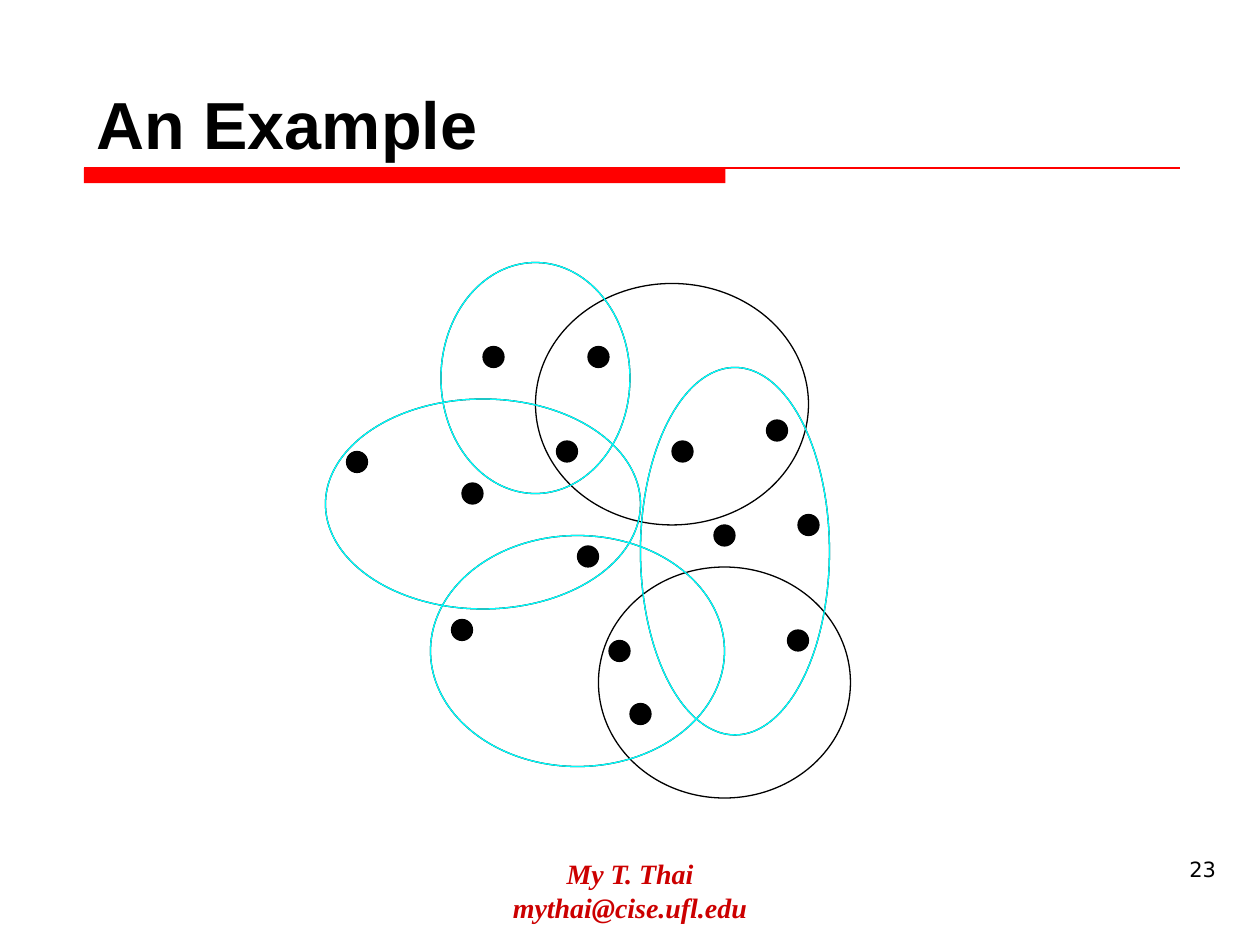
from typing import NamedTuple

import pptx
import pptx.dml.color
import pptx.enum.shapes
import pptx.enum.text
import pptx.oxml.ns
import pptx.util
from lxml import etree

BLACK = pptx.dml.color.RGBColor(0x00, 0x00, 0x00)
RED = pptx.dml.color.RGBColor(0xFF, 0x00, 0x00)
DARK_RED = pptx.dml.color.RGBColor(0xCC, 0x00, 0x00)
CYAN = pptx.dml.color.RGBColor(0x00, 0xFF, 0xFF)

ALIGN = pptx.enum.text.PP_ALIGN
OVAL = pptx.enum.shapes.MSO_SHAPE.OVAL
CELLS_PER_INCH = 12
DOT_SIZE = 2


class Area(NamedTuple):
    column: float
    row: float
    columns: float
    rows: float


class Style(NamedTuple):
    font: str
    size: float
    color: pptx.dml.color.RGBColor
    align: ALIGN
    bold: bool = False
    italic: bool = False


ELEMENTS = [
    (46, 33), (56, 33), (44, 46), (64, 42), (55, 52), (33, 43), (43, 59),
    (60, 67), (76, 49), (53, 42), (73, 40), (68, 50), (58, 61), (75, 60),
]
SUBSETS = {
    "top": Area(42, 25, 18, 22),
    "upper right": Area(51, 27, 26, 23),
    "left": Area(31, 38, 30, 20),
    "right": Area(61, 35, 18, 35),
    "lower right": Area(57, 54, 24, 22),
    "bottom": Area(41, 51, 28, 22),
}
COVER = ["right", "bottom", "left", "top"]

TITLE_AREA = Area(8, 4.08, 105, 12)
RULE_BAR = Area(8, 16, 61.1, 1.44)
RULE_END = 112.4
AUTHOR_AREA = Area(41, 81, 38, 6.25)
NUMBER_AREA = Area(91, 81, 26, 6.25)

TITLE_STYLE = Style("Arial", 38, BLACK, ALIGN.LEFT, bold=True)
AUTHOR_STYLE = Style("Times New Roman", 16, DARK_RED, ALIGN.CENTER, True, True)
NUMBER_STYLE = Style("DejaVu Sans", 12, BLACK, ALIGN.RIGHT)


def cells(count: float) -> pptx.util.Emu:
    return pptx.util.Inches(count / CELLS_PER_INCH)


def write(frame, lines: list[str], style: Style) -> None:
    frame.word_wrap = True
    frame.auto_size = pptx.enum.text.MSO_AUTO_SIZE.NONE
    frame.text = "\n".join(lines)
    for paragraph in frame.paragraphs:
        paragraph.alignment = style.align
        paragraph.font.name = style.font
        paragraph.font.size = pptx.util.Pt(style.size)
        paragraph.font.bold = style.bold
        paragraph.font.italic = style.italic
        paragraph.font.color.rgb = style.color


def add_label(slide, area: Area, lines: list[str], style: Style) -> None:
    label = slide.shapes.add_textbox(*map(cells, area))
    write(label.text_frame, lines, style)


def add_figure(slide, kind, area: Area, fill=None, line=None) -> None:
    figure = slide.shapes.add_shape(kind, *map(cells, area))
    figure.shadow.inherit = False
    if fill is None:
        figure.fill.background()
    else:
        figure.fill.solid()
        figure.fill.fore_color.rgb = fill
    if line is None:
        figure.line.fill.background()
    else:
        figure.line.color.rgb = line
        figure.line.width = pptx.util.Pt(0.75)


def add_title_rule(slide) -> None:
    bar = RULE_BAR
    add_figure(slide, pptx.enum.shapes.MSO_SHAPE.RECTANGLE, bar, fill=RED)
    rule = slide.shapes.add_connector(
        pptx.enum.shapes.MSO_CONNECTOR.STRAIGHT,
        cells(bar.column), cells(bar.row), cells(RULE_END), cells(bar.row),
    )
    rule.line.color.rgb = RED
    rule.line.width = pptx.util.Pt(1.5)
    etree.SubElement(rule._element.spPr, pptx.oxml.ns.qn("a:effectLst"))


def add_title(slide, text: str) -> None:
    title = slide.shapes.title
    title.left, title.top, title.width, title.height = map(cells, TITLE_AREA)
    write(title.text_frame, [text], TITLE_STYLE)
    title.text_frame.vertical_anchor = pptx.enum.text.MSO_ANCHOR.BOTTOM


def main() -> None:
    deck = pptx.Presentation()
    deck.slide_width = pptx.util.Inches(10)
    deck.slide_height = pptx.util.Inches(7.5)
    slide = deck.slides.add_slide(deck.slide_layouts.get_by_name("Title Only"))

    add_title_rule(slide)
    add_label(slide, AUTHOR_AREA, ["My T. Thai", "mythai@cise.ufl.edu"], AUTHOR_STYLE)
    add_label(slide, NUMBER_AREA, ["23"], NUMBER_STYLE)
    add_title(slide, "An Example")

    for column, row in ELEMENTS:
        dot = Area(column, row, DOT_SIZE, DOT_SIZE)
        add_figure(slide, OVAL, dot, fill=BLACK, line=BLACK)
    for subset in SUBSETS.values():
        add_figure(slide, OVAL, subset, line=BLACK)
    for chosen in COVER:
        add_figure(slide, OVAL, SUBSETS[chosen], line=CYAN)

    deck.save("out.pptx")


if __name__ == "__main__":
    main()
